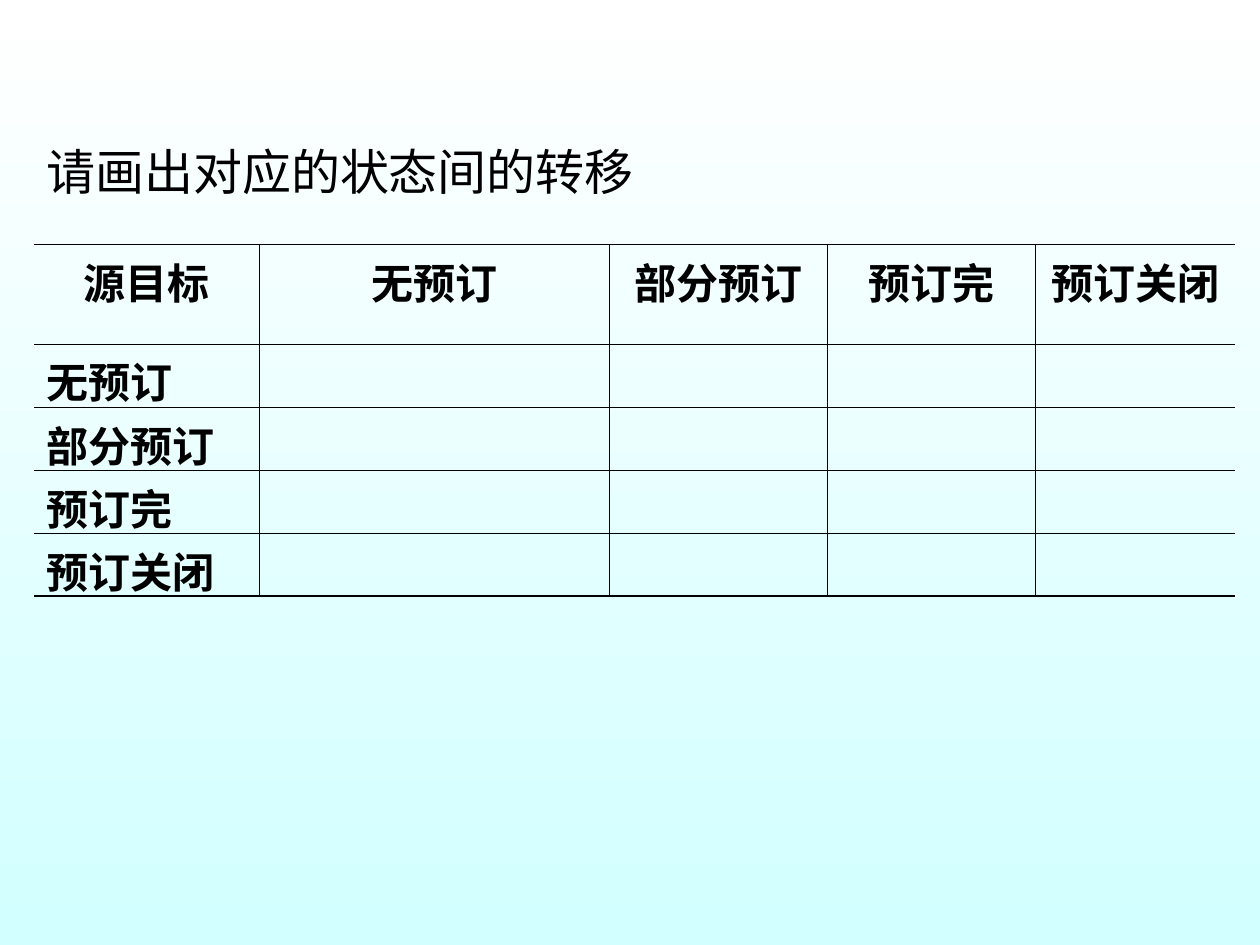
import pptx
import pptx.dml.color
import pptx.enum.text
import pptx.util
from lxml import etree
from pptx.oxml.ns import qn
from pptx.util import Inches, Pt

PROMPT = "请画出对应的状态间的转移"
STATES = ["无预订", "部分预订", "预订完", "预订关闭"]
CORNER = "源目标"
WIDTHS = [1.79, 2.78, 1.73, 1.65, 1.58]
HEIGHTS = [0.79] + [0.5] * len(STATES)
THIN, THICK = 0.45, 1.08
ALIGN = pptx.enum.text.PP_ALIGN


def tint(color, code):
    color.rgb = pptx.dml.color.RGBColor.from_string(code)


def write(frame, text, size=24, font="Arial", bold=False, align=ALIGN.LEFT):
    para = frame.paragraphs[0]
    para.alignment = align
    run = para.add_run()
    run.text = text
    run.font.size = Pt(size)
    run.font.name = font
    run.font.bold = bold
    tint(run.font.color, "000000")


def edge(cell, side, width):
    """Draw one cell border; a width of 0 hides it."""
    line = etree.Element(qn("a:ln" + side), w=str(Pt(width)))
    if width:
        fill = etree.SubElement(line, qn("a:solidFill"))
        etree.SubElement(fill, qn("a:srgbClr"), val="000000")
    else:
        etree.SubElement(line, qn("a:noFill"))
    cell._tc.get_or_add_tcPr().append(line)


deck = pptx.Presentation()
deck.slide_width, deck.slide_height = Inches(10), Inches(7.5)
slide = deck.slides.add_slide(deck.slide_layouts[6])

back = slide.background.fill
back.gradient()
back.gradient_angle = 270
for stop, code in zip(back.gradient_stops, ["FFFFFF", "D2FFFF"]):
    tint(stop.color, code)

box = slide.shapes.add_textbox(Inches(0.27), Inches(1.07), Inches(9.45), Inches(3.45))
box.text_frame.word_wrap = True
write(box.text_frame, PROMPT, size=28, font="Cambria")

rows, cols = len(HEIGHTS), len(WIDTHS)
table = slide.shapes.add_table(
    rows, cols, Inches(0.27), Inches(1.94),
    Inches(sum(WIDTHS)), Inches(sum(HEIGHTS))).table
table.first_row = table.horz_banding = False
for col, width in zip(table.columns, WIDTHS):
    col.width = Inches(width)
for row, height in zip(table.rows, HEIGHTS):
    row.height = Inches(height)

heads = [CORNER] + STATES
for r in range(rows):
    for c in range(cols):
        cell = table.cell(r, c)
        edge(cell, "L", THIN if c else 0)
        edge(cell, "R", THIN if c < cols - 1 else 0)
        edge(cell, "T", THIN if r else THICK)
        edge(cell, "B", THIN if r < rows - 1 else THICK)
        cell.fill.background()
        if r == 0:
            write(cell.text_frame, heads[c], bold=True, align=ALIGN.CENTER)
        elif c == 0:
            write(cell.text_frame, heads[r], bold=True)

deck.save("out.pptx")
